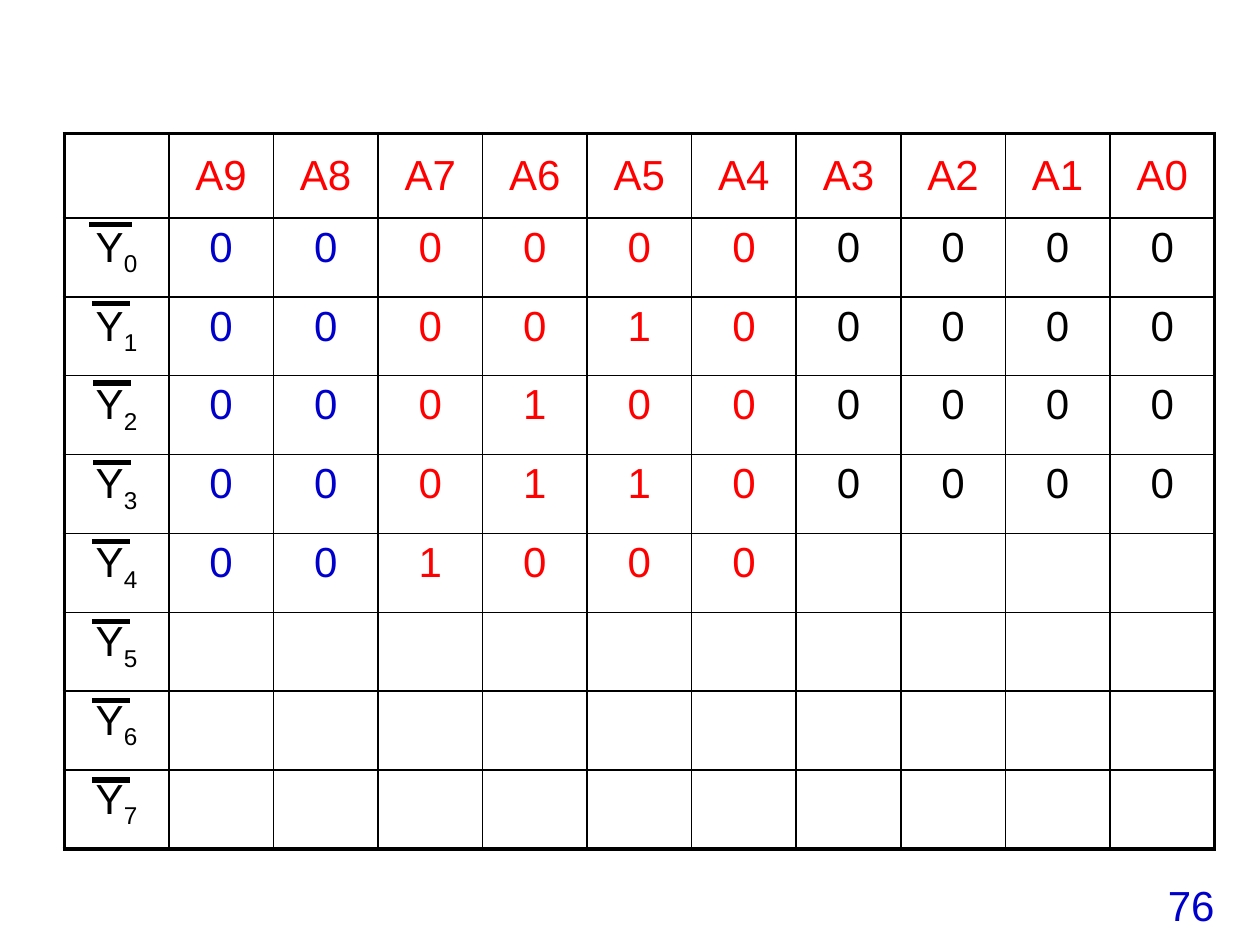
"""Build the decoder address table slide."""
from dataclasses import dataclass

from lxml import etree
from pptx import Presentation
from pptx import util as u
from pptx.dml.color import RGBColor
from pptx.enum import shapes, text
from pptx.oxml.ns import qn

COLOURS = {"black": "000000", "red": "FF0000", "blue": "0000CC"}
FONT = "Arial"
LEFT, TOP, WIDTH, HEIGHT = 0.51, 1.06, 9.13, 5.68
HEADER_HEIGHT = 0.67
THICK, THIN = 2.25, 1
BAR_TOP, BAR_STEP = 1.78, 0.63
ADDRESSES = [f"A{bit}" for bit in range(9, -1, -1)]
BIT_COLOURS = ["blue"] * 2 + ["red"] * 4 + ["black"] * 4


@dataclass(frozen=True)
class Output:
    index: int
    bits: str
    bar_left: float = 0.73
    bar_width: float = 0.3


OUTPUTS = [
    Output(0, "0000000000", 0.71, 0.34),
    Output(1, "0000100000"),
    Output(2, "0001000000", 0.74),
    Output(3, "0001100000", 0.74),
    Output(4, "001000"),
    Output(5, ""),
    Output(6, ""),
    Output(7, ""),
]


def write(frame, words: str, *, colour: str = "black", subscript: str = "",
          line_spacing: float = 1.0) -> None:
    para = frame.paragraphs[0]
    para.alignment = text.PP_ALIGN.CENTER
    para.line_spacing = line_spacing
    for part, baseline in ((words, 0), (subscript, -25000)):
        if not part:
            continue
        span = para.add_run()
        span.text = part
        span.font.name = FONT
        span.font.size = u.Pt(24)
        span.font.color.rgb = RGBColor.from_string(COLOURS[colour])
        if baseline:
            span._r.get_or_add_rPr().set("baseline", str(baseline))


def set_borders(cell, widths: dict[str, float]) -> None:
    properties = cell._tc.get_or_add_tcPr()
    for position, (side, width) in enumerate(widths.items()):
        line = etree.Element(qn(f"a:ln{side}"), w=str(u.Pt(width)))
        fill = etree.SubElement(line, qn("a:solidFill"))
        etree.SubElement(fill, qn("a:srgbClr"), val=COLOURS["black"])
        properties.insert(position, line)


def add_address_table(page) -> None:
    row_count, column_count = len(OUTPUTS) + 1, len(ADDRESSES) + 1
    table = page.shapes.add_table(
        row_count, column_count, u.Inches(LEFT), u.Inches(TOP),
        u.Inches(WIDTH), u.Inches(HEIGHT)).table
    table.first_row = table.horz_banding = False
    for column in table.columns:
        column.width = u.Inches(WIDTH / column_count)
    for row in table.rows:
        row.height = u.Inches((HEIGHT - HEADER_HEIGHT) / len(OUTPUTS))
    table.rows[0].height = u.Inches(HEADER_HEIGHT)

    for row in range(row_count):
        for column in range(column_count):
            cell = table.cell(row, column)
            cell.fill.background()
            set_borders(cell, {
                "L": THICK if column == 0 else THIN,
                "R": THICK if column == column_count - 1 else THIN,
                "T": THICK if row == 0 else THIN,
                "B": THICK if row == row_count - 1 else THIN,
            })

    for column, address in enumerate(ADDRESSES, start=1):
        cell = table.cell(0, column)
        cell.vertical_anchor = text.MSO_ANCHOR.MIDDLE
        write(cell.text_frame, address, colour="red")
    for row, output in enumerate(OUTPUTS, start=1):
        write(table.cell(row, 0).text_frame, "Y", subscript=str(output.index))
        for column, (bit, colour) in enumerate(zip(output.bits, BIT_COLOURS), start=1):
            write(table.cell(row, column).text_frame, bit, colour=colour)


def add_overbar(page, output: Output) -> None:
    height = u.Inches(BAR_TOP + output.index * BAR_STEP)
    bar = page.shapes.add_connector(
        shapes.MSO_CONNECTOR.STRAIGHT, u.Inches(output.bar_left), height,
        u.Inches(output.bar_left + output.bar_width), height)
    bar.line.width = u.Pt(3)
    bar.line.color.rgb = RGBColor.from_string(COLOURS["black"])
    etree.SubElement(bar._element.spPr, qn("a:effectLst"))


def add_page_number(page, number: str) -> None:
    box = page.shapes.add_textbox(
        u.Inches(9.02), u.Inches(6.98), u.Inches(0.87), u.Inches(0.46))
    box.text_frame.word_wrap = True
    box.text_frame.auto_size = text.MSO_AUTO_SIZE.SHAPE_TO_FIT_TEXT
    write(box.text_frame, number, colour="blue", line_spacing=0.9)


def main() -> None:
    deck = Presentation()
    deck.slide_width, deck.slide_height = u.Inches(10), u.Inches(7.5)
    page = deck.slides.add_slide(deck.slide_layouts[6])
    add_page_number(page, "76")
    add_address_table(page)
    for output in OUTPUTS:
        add_overbar(page, output)
    deck.save("out.pptx")


if __name__ == "__main__":
    main()
